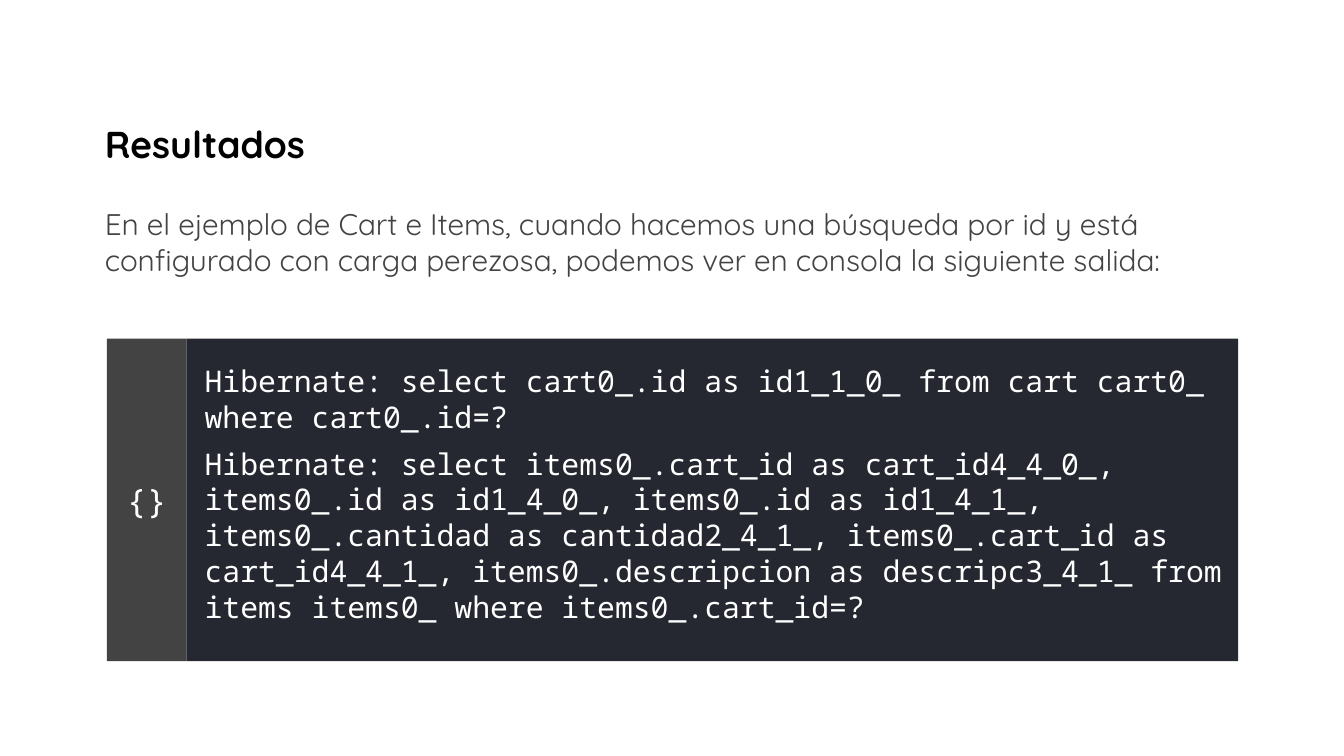
"""Builds the slide on the query results of a lazy-loading example."""
import pptx
import pptx.dml.color
import pptx.enum.shapes
import pptx.enum.text
import pptx.util

Inches = pptx.util.Inches
ANCHOR = pptx.enum.text.MSO_ANCHOR
ALIGN = pptx.enum.text.PP_ALIGN


def colour(hex_string):
    return pptx.dml.color.RGBColor.from_string(hex_string)


def write(holder, *paragraphs, size, font, ink, bold=False, align=ALIGN.LEFT,
          anchor=ANCHOR.MIDDLE, left=0.13, top=0.13, gap=8):
    frame = holder.text_frame
    frame.word_wrap = True
    frame.vertical_anchor = anchor
    frame.margin_left, frame.margin_top = Inches(left), Inches(top)
    frame.margin_right = frame.margin_bottom = Inches(0.13)
    for number, text in enumerate(paragraphs):
        paragraph = frame.add_paragraph() if number else frame.paragraphs[0]
        paragraph.alignment = align
        if number:
            paragraph.space_before = pptx.util.Pt(gap)
        run = paragraph.add_run()
        run.text = text
        run.font.name = font
        run.font.size = pptx.util.Pt(size)
        run.font.bold = bold
        run.font.color.rgb = colour(ink)


deck = pptx.Presentation()
deck.slide_width, deck.slide_height = Inches(13.33), Inches(7.5)
slide = deck.slides.add_slide(deck.slide_layouts[6])

heading = slide.shapes.add_textbox(Inches(0.91), Inches(0.85), Inches(11.34), Inches(1.14))
write(heading, "Resultados", size=26.7, font="Quicksand", ink="000000", bold=True)

introduction = slide.shapes.add_textbox(Inches(0.91), Inches(1.91), Inches(11.34), Inches(3.4))
write(introduction,
      "En el ejemplo de Cart e Items, cuando hacemos una búsqueda por id y está "
      "configurado con carga perezosa, podemos ver en consola la siguiente salida:",
      size=21.3, font="Quicksand", ink="434343", anchor=ANCHOR.TOP)

panels = []
for left, width, fill in [(1.85, 10.43, "262831"), (1.06, 0.79, "434343")]:
    panel = slide.shapes.add_shape(pptx.enum.shapes.MSO_SHAPE.RECTANGLE,
                                   Inches(left), Inches(3.36), Inches(width), Inches(3.2))
    panel.shadow.inherit = False
    panel.fill.solid()
    panel.fill.fore_color.rgb = colour(fill)
    panel.line.fill.background()
    panels.append(panel)
console, braces = panels

write(console,
      "Hibernate: select cart0_.id as id1_1_0_ from cart cart0_ where cart0_.id=?",
      "Hibernate: select items0_.cart_id as cart_id4_4_0_, items0_.id as id1_4_0_, "
      "items0_.id as id1_4_1_, items0_.cantidad as cantidad2_4_1_, "
      "items0_.cart_id as cart_id4_4_1_, items0_.descripcion as descripc3_4_1_ "
      "from items items0_ where items0_.cart_id=?",
      size=21.3, font="Noto Sans Mono", ink="FFFFFF", left=0.18, top=0)
write(braces, "{}", size=24, font="Noto Sans Mono", ink="FFFFFF", align=ALIGN.CENTER)

deck.save("out.pptx")
